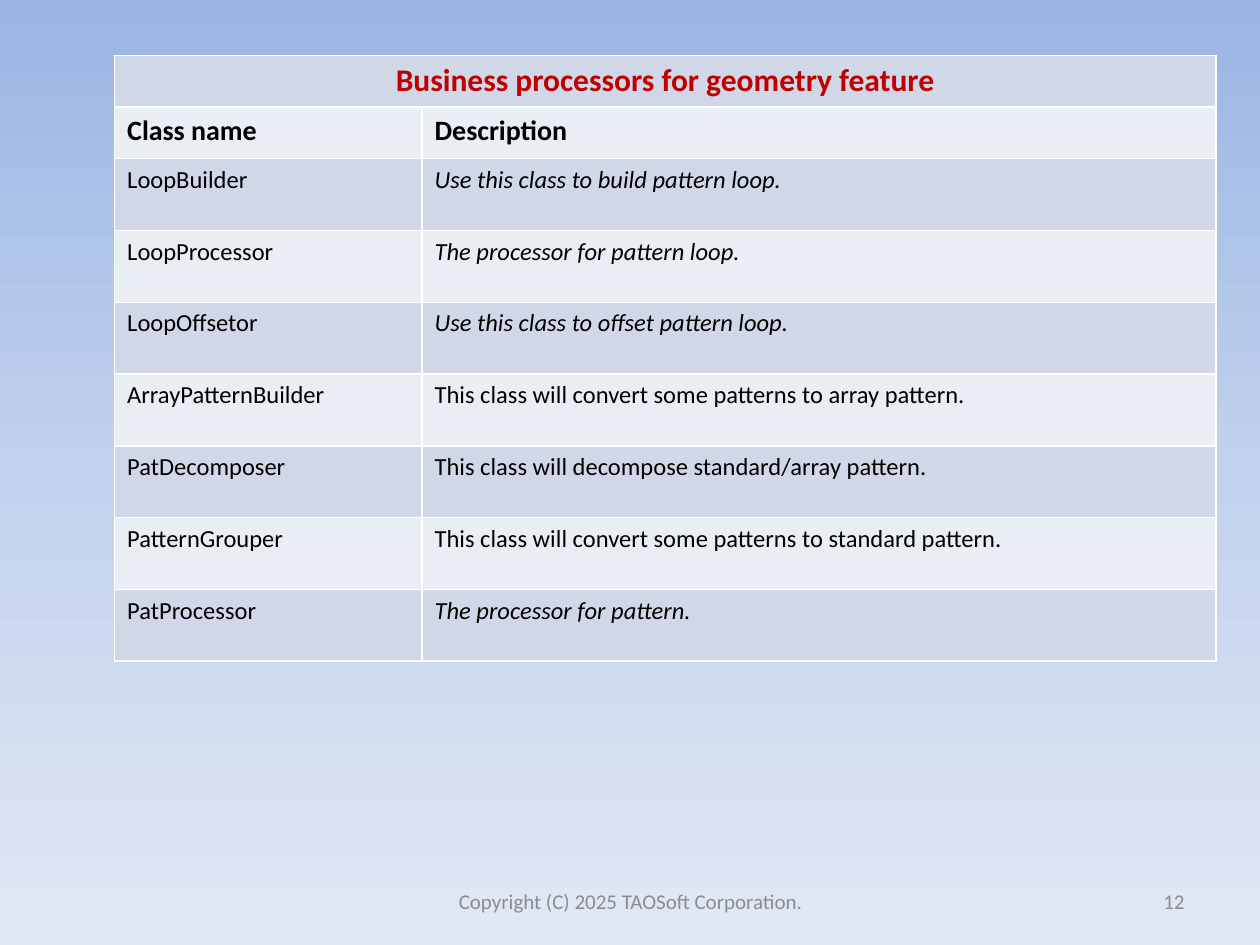
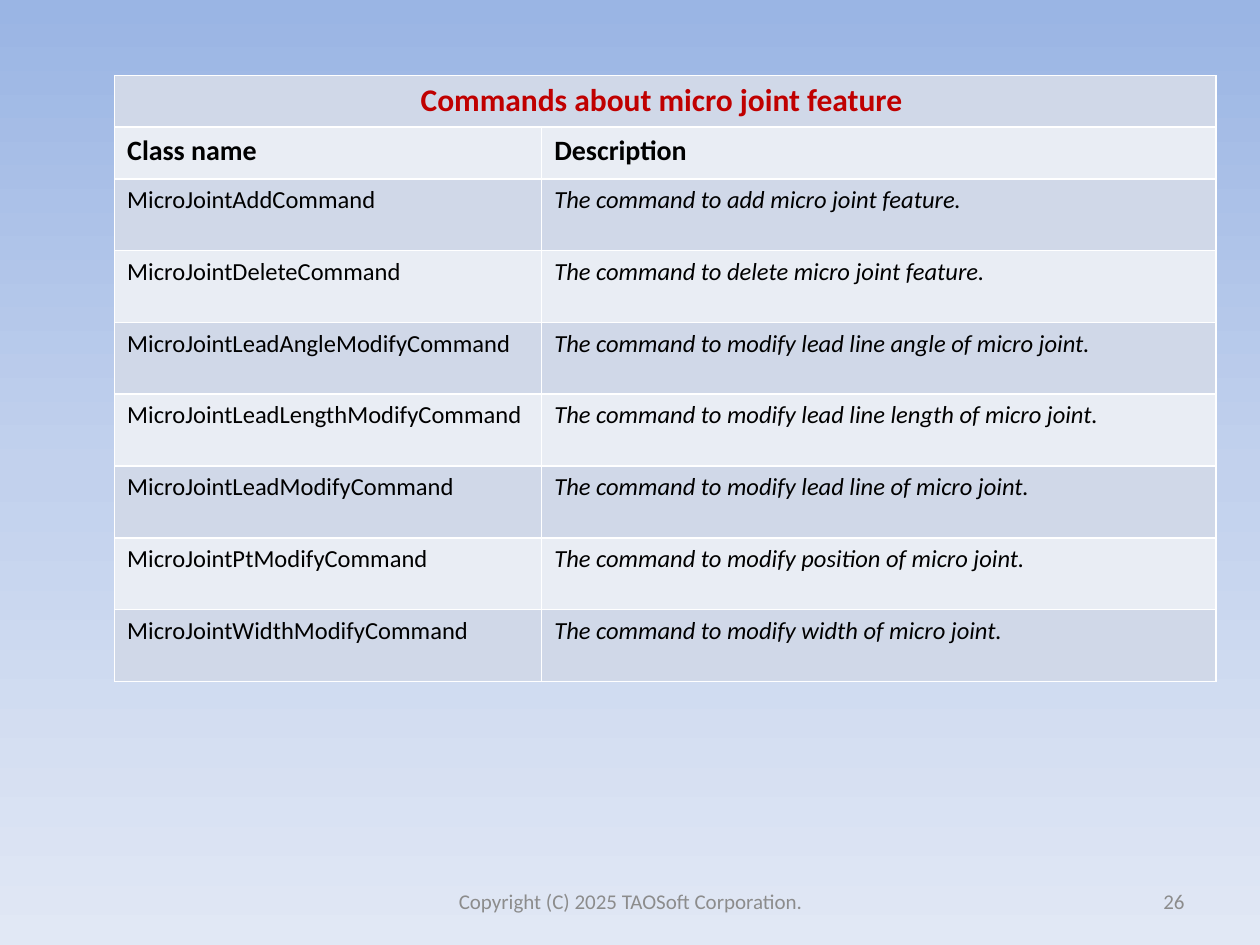
from dataclasses import dataclass

from lxml import etree
from pptx import Presentation
from pptx.dml.color import RGBColor
from pptx.enum.text import MSO_ANCHOR, PP_ALIGN
from pptx.oxml.ns import qn
from pptx.util import Inches, Pt

LEFT, CENTER, RIGHT = PP_ALIGN.LEFT, PP_ALIGN.CENTER, PP_ALIGN.RIGHT
MIDDLE = MSO_ANCHOR.MIDDLE

# Shared look
WIDTH, HEIGHT = 10, 7.5
BACKGROUND = {0: "9AB5E4", 50: "C2D1ED", 100: "E1E8F5"}
BANDS = ("D0D8E8", "E9EDF4")
BORDER, BORDER_POINTS = "FFFFFF", 1
FOOTER_TOP, FOOTER_HEIGHT = 6.95, 0.4
TABLE_LEFT, TABLE_WIDTH = 0.91, 8.74
HEADING_ROWS, HEADING_HEIGHT, CLASS_HEIGHT = 2, 0.41, 0.57
COPYRIGHT = "Copyright (C) 2025 TAOSoft Corporation."

TITLE = {"size": Pt(18), "bold": True, "color": "C00000"}
HEADING = {"size": Pt(16), "bold": True, "color": "000000"}
BODY = {"size": Pt(14), "bold": False, "color": "000000"}
ITALIC = BODY | {"italic": True}
FOOTER = {"size": Pt(12), "color": "8C8C8C"}


@dataclass(frozen=True)
class ClassEntry:
    name: str
    description: str
    italic: bool = True


@dataclass(frozen=True)
class ClassPage:
    number: int
    title: str
    top: float
    name_width: float
    entries: tuple[ClassEntry, ...]


PAGES = (
    ClassPage(12, "Business processors for geometry feature", 0.44, 2.44, (
        ClassEntry("LoopBuilder", "Use this class to build pattern loop."),
        ClassEntry("LoopProcessor", "The processor for pattern loop."),
        ClassEntry("LoopOffsetor", "Use this class to offset pattern loop."),
        ClassEntry("ArrayPatternBuilder",
                   "This class will convert some patterns to array pattern.", False),
        ClassEntry("PatDecomposer",
                   "This class will decompose standard/array pattern.", False),
        ClassEntry("PatternGrouper",
                   "This class will convert some patterns to standard pattern.", False),
        ClassEntry("PatProcessor", "The processor for pattern."),
    )),
    ClassPage(26, "Commands about micro joint feature ", 0.6, 3.39, tuple(
        ClassEntry(f"MicroJoint{action}Command", f"The command to {purpose}.")
        for action, purpose in (
            ("Add", "add micro joint feature"),
            ("Delete", "delete micro joint feature"),
            ("LeadAngleModify", "modify lead line angle of micro joint"),
            ("LeadLengthModify", "modify lead line length of micro joint"),
            ("LeadModify", "modify lead line of micro joint"),
            ("PtModify", "modify position of micro joint"),
            ("WidthModify", "modify width of micro joint"),
        )
    )),
)


def color(value: str) -> RGBColor:
    return RGBColor.from_string(value)


def write(frame, text: str, style: dict, align=LEFT) -> None:
    para = frame.paragraphs[0]
    para.alignment = align
    span = para.add_run()
    span.text = text
    span.font.name = "Calibri"
    for name, value in style.items():
        if name == "color":
            span.font.color.rgb = color(value)
        else:
            setattr(span.font, name, value)


def paint_background(master) -> None:
    fill = master.background.fill
    fill.gradient()
    fill.gradient_angle = 270
    stops = next(master.element.iter(qn("a:gsLst")))
    for stop in list(stops):
        stops.remove(stop)
    for percent, value in BACKGROUND.items():
        stop = etree.SubElement(stops, qn("a:gs"), pos=str(percent * 1000))
        etree.SubElement(stop, qn("a:srgbClr"), val=value)


def add_footer(page, left: float, width: float, text: str, align) -> None:
    box = page.shapes.add_textbox(Inches(left), Inches(FOOTER_TOP),
                                  Inches(width), Inches(FOOTER_HEIGHT))
    box.text_frame.word_wrap = True
    box.text_frame.vertical_anchor = MIDDLE
    write(box.text_frame, text, FOOTER, align)


def paint_cell(cell, value: str) -> None:
    cell.fill.solid()
    cell.fill.fore_color.rgb = color(value)
    # Border lines come before the fill in the cell properties
    properties = cell.fill._xPr
    for index, side in enumerate(("lnL", "lnR", "lnT", "lnB")):
        line = etree.Element(qn(f"a:{side}"), w=str(Pt(BORDER_POINTS)))
        solid = etree.SubElement(line, qn("a:solidFill"))
        etree.SubElement(solid, qn("a:srgbClr"), val=BORDER)
        properties.insert(index, line)


def add_class_table(page, content: ClassPage) -> None:
    count = HEADING_ROWS + len(content.entries)
    heights = [HEADING_HEIGHT] * HEADING_ROWS + [CLASS_HEIGHT] * len(content.entries)
    table = page.shapes.add_table(count, 2, Inches(TABLE_LEFT), Inches(content.top),
                                  Inches(TABLE_WIDTH), Inches(sum(heights))).table
    widths = (content.name_width, TABLE_WIDTH - content.name_width)
    for column, width in zip(table.columns, widths):
        column.width = Inches(width)
    for index, (row, height) in enumerate(zip(table.rows, heights)):
        row.height = Inches(height)
        for cell in row.cells:
            paint_cell(cell, BANDS[index % 2])

    # Title across both columns, then headings and classes
    table.cell(0, 0).merge(table.cell(0, 1))
    write(table.cell(0, 0).text_frame, content.title, TITLE, CENTER)
    for column, heading in enumerate(("Class name", "Description")):
        write(table.cell(1, column).text_frame, heading, HEADING)
    for row, entry in enumerate(content.entries, HEADING_ROWS):
        write(table.cell(row, 0).text_frame, entry.name, BODY)
        write(table.cell(row, 1).text_frame, entry.description,
              ITALIC if entry.italic else BODY)


def main() -> None:
    deck = Presentation()
    deck.slide_width, deck.slide_height = Inches(WIDTH), Inches(HEIGHT)
    paint_background(deck.slide_master)
    for content in PAGES:
        page = deck.slides.add_slide(deck.slide_layouts[6])
        add_footer(page, 3.42, 3.17, COPYRIGHT, CENTER)
        add_footer(page, 7.17, 2.33, str(content.number), RIGHT)
        add_class_table(page, content)
    deck.save("out.pptx")


if __name__ == "__main__":
    main()
